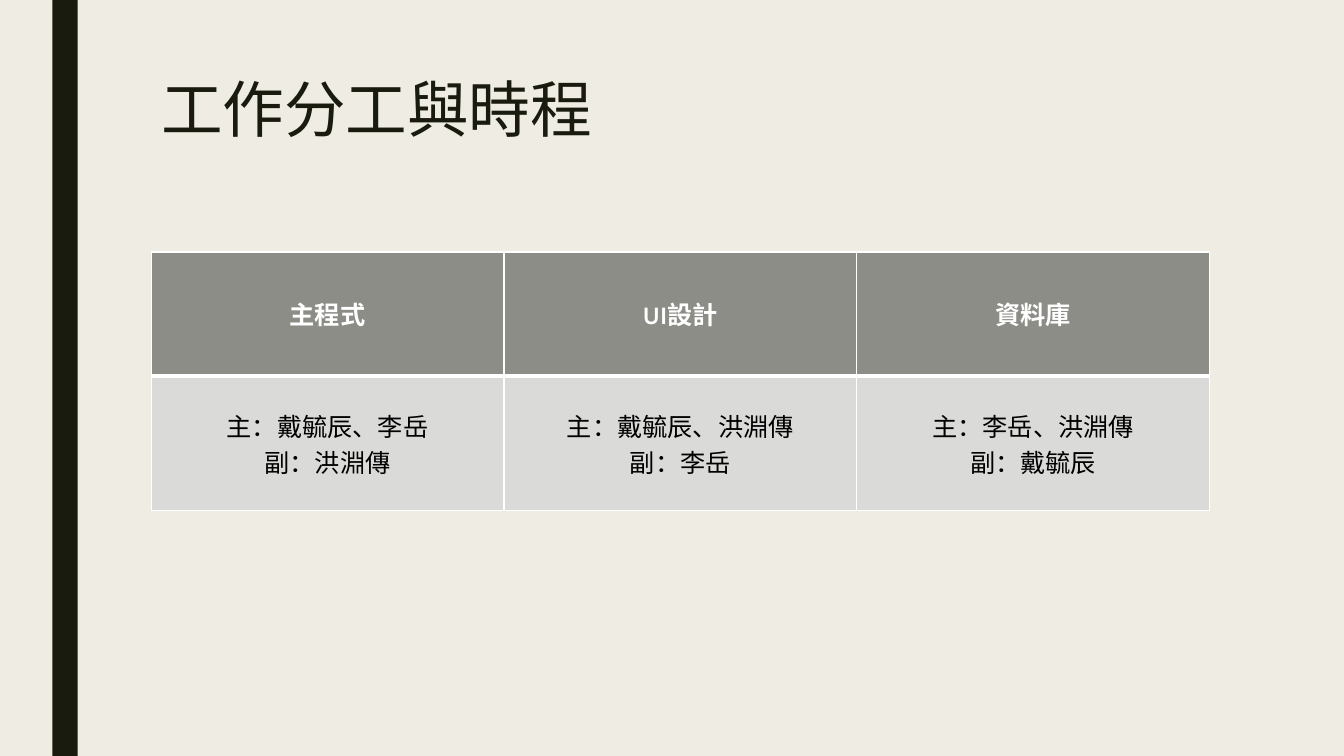
import pptx
import pptx.dml.color
import pptx.enum.shapes
import pptx.enum.text
import pptx.oxml.ns
import pptx.util
from lxml import etree

Cm = pptx.util.Cm
Pt = pptx.util.Pt

COLORS = {
    "paper": "EFEDE3",
    "ink": "191B0E",
    "header": "8C8D86",
    "body": "DADBD9",
    "white": "FFFFFF",
    "black": "000000",
}
HEADINGS = ["主程式", "UI設計", "資料庫"]
MEMBERS = [
    "主：戴毓辰、李岳\n副：洪淵傳",
    "主：戴毓辰、洪淵傳\n副：李岳",
    "主：李岳、洪淵傳\n副：戴毓辰",
]


def color(name):
    return pptx.dml.color.RGBColor.from_string(COLORS[name])


class PageBuilder:
    """Holds the fonts and the page that elements are added to."""

    heading_font = "Karla"
    body_font = "Arial"

    def __init__(self, page):
        self.page = page
        page.background.fill.solid()
        page.background.fill.fore_color.rgb = color("paper")

    def style(self, para, font, size, ink, bold=False):
        for span in para.runs:
            span.font.name = font
            span.font.size = Pt(size)
            span.font.bold = bold
            span.font.color.rgb = color(ink)

    def bar(self, left, top, width, height):
        box = self.page.shapes.add_shape(
            pptx.enum.shapes.MSO_SHAPE.RECTANGLE, Cm(left), Cm(top), Cm(width), Cm(height))
        box.shadow.inherit = False
        box.fill.solid()
        box.fill.fore_color.rgb = color("ink")
        box.line.fill.background()

    def title(self, text, left, top, width, height):
        frame = self.page.shapes.add_textbox(
            Cm(left), Cm(top), Cm(width), Cm(height)).text_frame
        frame.word_wrap = True
        frame.text = text
        para = frame.paragraphs[0]
        para.line_spacing = 0.89
        self.style(para, self.heading_font, 44, "ink")

    def borders(self, cell, widths):
        """Draws white cell edges; widths maps L, R, T, B to points."""
        properties = cell._tc.get_or_add_tcPr()
        for position, side in enumerate("LRTB"):
            edge = etree.Element(pptx.oxml.ns.qn(f"a:ln{side}"), w=str(Pt(widths[side])))
            fill = etree.SubElement(edge, pptx.oxml.ns.qn("a:solidFill"))
            etree.SubElement(fill, pptx.oxml.ns.qn("a:srgbClr"), val=COLORS["white"])
            properties.insert(position, edge)

    def cell(self, cell, text, is_header):
        cell.fill.solid()
        cell.fill.fore_color.rgb = color("header" if is_header else "body")
        cell.vertical_anchor = pptx.enum.text.MSO_ANCHOR.MIDDLE
        cell.text_frame.text = text
        for para in cell.text_frame.paragraphs:
            para.alignment = pptx.enum.text.PP_ALIGN.CENTER
            if is_header:
                self.style(para, self.heading_font, 18, "white", bold=True)
            else:
                self.style(para, self.body_font, 18, "black")
        divider = {"B": 3} if is_header else {"T": 3}
        self.borders(cell, {"L": 1, "R": 1, "T": 1, "B": 1} | divider)

    def table(self, rows, left, top, width, heights):
        table = self.page.shapes.add_table(
            len(rows), len(rows[0]), Cm(left), Cm(top), Cm(width), Cm(sum(heights))).table
        for row_index, texts in enumerate(rows):
            table.rows[row_index].height = Cm(heights[row_index])
            for column_index, text in enumerate(texts):
                self.cell(table.cell(row_index, column_index), text, row_index == 0)


def main():
    deck = pptx.Presentation()
    deck.slide_width, deck.slide_height = Cm(33.87), Cm(19.05)
    builder = PageBuilder(deck.slides.add_slide(deck.slide_layouts[6]))
    builder.bar(1.32, 0, 0.64, 19.05)
    builder.title("工作分工與時程", 3.81, 1.9, 26.67, 4.11)
    builder.table([HEADINGS, MEMBERS], 3.81, 6.35, 26.67, [3.12, 3.4])
    deck.save("out.pptx")


if __name__ == "__main__":
    main()
